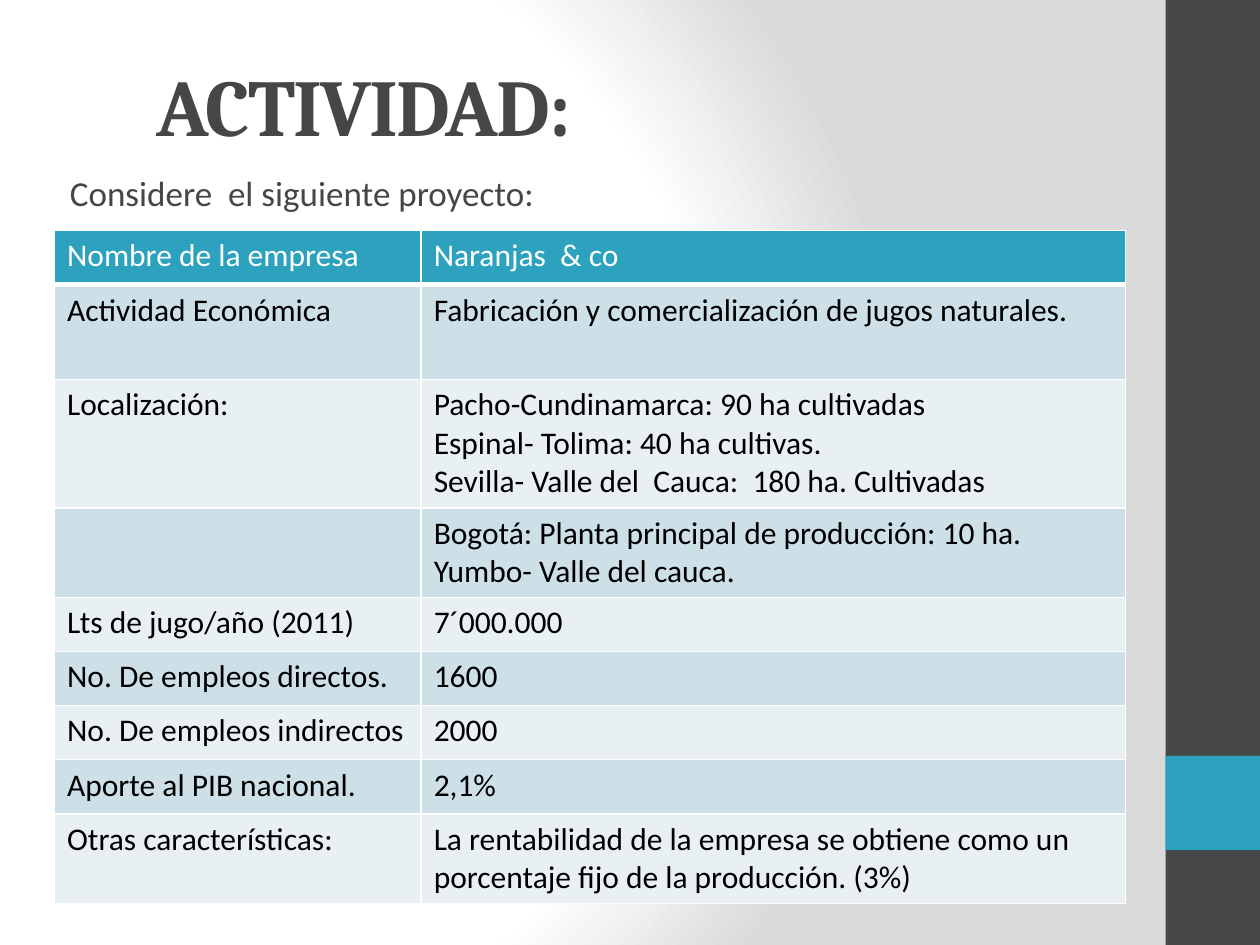
from pptx import Presentation, oxml
from pptx import util as u
from pptx.dml.color import RGBColor
from pptx.enum import shapes, text
from pptx.oxml import ns

DARK = RGBColor(0x46, 0x46, 0x46)
TEAL = RGBColor(0x2D, 0xA2, 0xBF)
BLUE = RGBColor(0xCD, 0xE0, 0xE8)
PALE = RGBColor(0xE8, 0xF0, 0xF4)
WHITE = RGBColor(0xFF, 0xFF, 0xFF)
BLACK = RGBColor(0, 0, 0)
GREY = RGBColor(0xDA, 0xDA, 0xDA)

WIDE, HIGH = 25.4, 19.05
COLS = (7.39, 14.2)
ROWS = [
    (1.09, "Nombre de la empresa", "Naranjas  & co"),
    (1.91, "Actividad Económica",
     "Fabricación y comercialización de jugos naturales."),
    (2.59, "Localización:",
     "Pacho-Cundinamarca: 90 ha cultivadas\n"
     "Espinal- Tolima: 40 ha cultivas.\n"
     "Sevilla- Valle del  Cauca:  180 ha. Cultivadas"),
    (1.8, "",
     "Bogotá: Planta principal de producción: 10 ha.\n"
     "Yumbo- Valle del cauca."),
    (1.09, "Lts de jugo/año (2011)", "7´000.000"),
    (1.09, "No. De empleos directos.", "1600"),
    (1.09, "No. De empleos indirectos", "2000"),
    (1.09, "Aporte al PIB nacional.", "2,1%"),
    (1.8, "Otras características:",
     "La rentabilidad de la empresa se obtiene como un porcentaje fijo "
     "de la producción. (3%)"),
]


def write(frame, words, size=18, face="Calibri", color=BLACK, bold=False,
          track=0):
    frame.word_wrap = True
    frame.text = words
    for para in frame.paragraphs:
        para.alignment = text.PP_ALIGN.LEFT
        para.font.size = u.Pt(size)
        for run in para.runs:
            font = run.font
            font.size, font.name, font.bold = u.Pt(size), face, bold
            font.color.rgb = color
            if track:
                run._r.get_or_add_rPr().set("spc", str(track * 100))


def place(shape, box):
    shape.left, shape.top, shape.width, shape.height = map(u.Cm, box)


def backdrop(slide):
    stops = "".join(
        f'<a:gs pos="{spot * 1000}"><a:srgbClr val="{tone}"/></a:gs>'
        for spot, tone in ((0, WHITE), (75, WHITE), (100, GREY)))
    back = oxml.parse_xml(
        f'<p:bg {ns.nsdecls("p", "a")}><p:bgPr><a:gradFill rotWithShape="1">'
        f'<a:gsLst>{stops}</a:gsLst><a:path path="circle">'
        '<a:fillToRect l="20000" t="50000" r="100000" b="50000"/></a:path>'
        '</a:gradFill><a:effectLst/></p:bgPr></p:bg>')
    slide.element.cSld.insert(0, back)


def sidebar(slide, box):
    left, top, wide, high = box
    parts = ((box, DARK), ((left, top + high * 0.8, wide, wide), TEAL))
    for area, color in parts:
        bar = slide.shapes.add_shape(
            shapes.MSO_SHAPE.RECTANGLE, *map(u.Cm, area))
        bar.shadow.inherit = False
        bar.fill.solid()
        bar.fill.fore_color.rgb = color
        bar.line.fill.background()


def heading(slide, box):
    title = slide.shapes.title
    place(title, box)
    frame = title.text_frame
    frame.auto_size = text.MSO_AUTO_SIZE.NONE
    frame.vertical_anchor = text.MSO_ANCHOR.MIDDLE
    write(frame, "ACTIVIDAD:", size=46, face="Cambria", color=DARK,
          bold=True, track=-1)


def intro(slide, box):
    frame = slide.shapes.add_textbox(*map(u.Cm, box)).text_frame
    frame.margin_left = u.Cm(0.56)
    write(frame, "Considere  el siguiente proyecto:", size=20, color=DARK)


def edges(cell, base):
    props = cell._tc.get_or_add_tcPr()
    for spot, (side, width) in enumerate(
            (("L", 1), ("R", 1), ("T", 1), ("B", base))):
        props.insert(spot, oxml.parse_xml(
            f'<a:ln{side} {ns.nsdecls("a")} w="{u.Pt(width)}"><a:solidFill>'
            f'<a:srgbClr val="{WHITE}"/></a:solidFill></a:ln{side}>'))


def facts(slide, left, top):
    high = sum(row[0] for row in ROWS)
    box = (left, top, sum(COLS), high)
    table = slide.shapes.add_table(
        len(ROWS), len(COLS), *map(u.Cm, box)).table
    for col, wide in zip(table.columns, COLS):
        col.width = u.Cm(wide)
    for num, (tall, *words) in enumerate(ROWS):
        table.rows[num].height = u.Cm(tall)
        head = num == 0
        fill = TEAL if head else (PALE, BLUE)[num % 2]
        for cell, line in zip(table.rows[num].cells, words):
            write(cell.text_frame, line, color=WHITE if head else BLACK)
            cell.fill.solid()
            cell.fill.fore_color.rgb = fill
            edges(cell, 3 if head else 1)


def main():
    deck = Presentation()
    deck.slide_width, deck.slide_height = u.Cm(WIDE), u.Cm(HIGH)
    slide = deck.slides.add_slide(deck.slide_layouts[5])
    backdrop(slide)
    sidebar(slide, (23.5, 0, 1.9, HIGH))
    heading(slide, (2.9, 0.91, 19.5, 2.4))
    facts(slide, 1.1, 4.65)
    intro(slide, (0.85, 3.33, 20.4, 10.67))
    deck.save("out.pptx")


if __name__ == "__main__":
    main()
